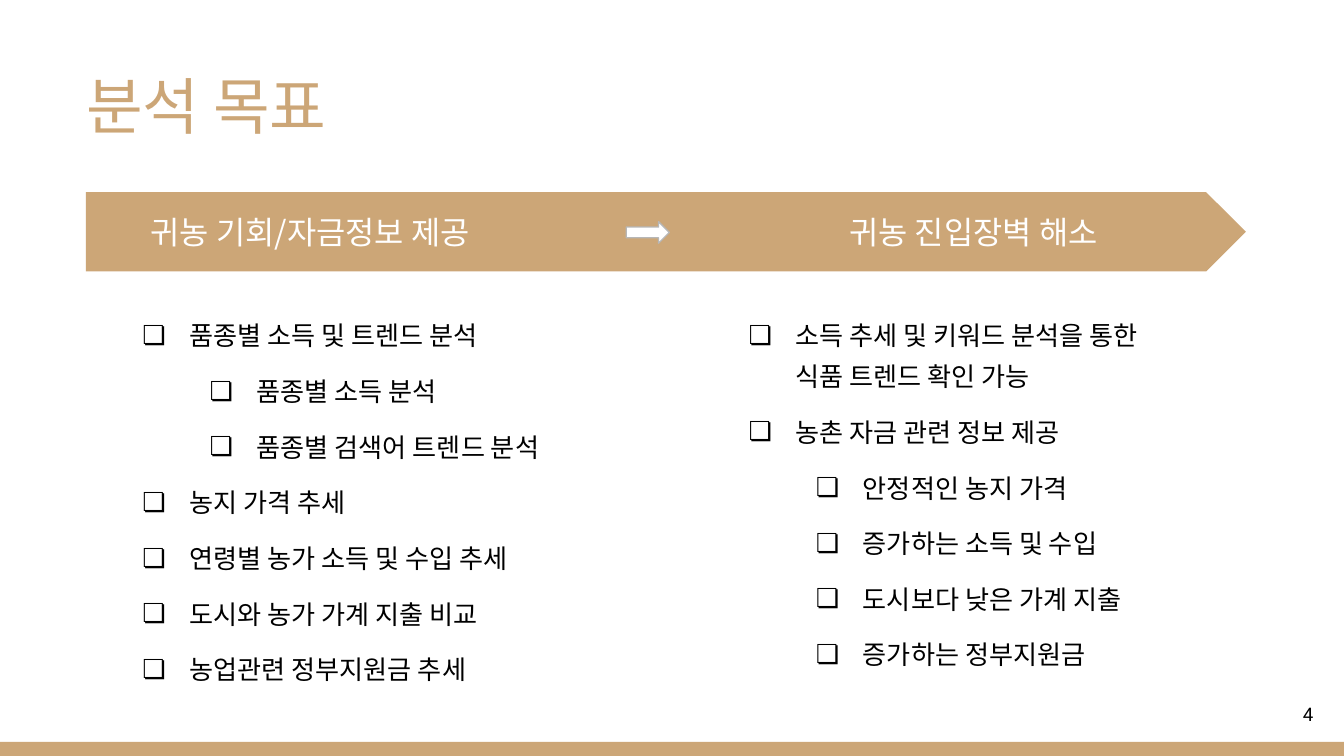
from lxml import etree
from pptx import Presentation
from pptx.dml.color import RGBColor
from pptx.enum import shapes, text
from pptx.oxml import ns
from pptx.util import Inches, Pt

TAN = RGBColor(0xCC, 0xA6, 0x77)
WHITE = RGBColor(0xFF, 0xFF, 0xFF)
BLACK = RGBColor(0, 0, 0)
GRAY = RGBColor(0xB7, 0xB7, 0xB7)
KOREAN = "Noto Sans CJK KR"

TITLE = "분석 목표"
BANNER = ("귀농 기회/자금정보 제공", "귀농 진입장벽 해소")
PAGE_NUMBER = "4"
COLUMNS = [
    ((0.81, 2.21, 4.13, 3.1), [
        (0, "품종별 소득 및 트렌드 분석"),
        (1, "품종별 소득 분석"),
        (1, "품종별 검색어 트렌드 분석"),
        (0, "농지 가격 추세"),
        (0, "연령별 농가 소득 및 수입 추세"),
        (0, "도시와 농가 가계 지출 비교"),
        (0, "농업관련 정부지원금 추세"),
    ]),
    ((5.32, 2.21, 3.55, 3.1), [
        (0, "소득 추세 및 키워드 분석을 통한 식품 트렌드 확인 가능"),
        (0, "농촌 자금 관련 정보 제공"),
        (1, "안정적인 농지 가격"),
        (1, "증가하는 소득 및 수입"),
        (1, "도시보다 낮은 가계 지출"),
        (1, "증가하는 정부지원금"),
    ]),
]


def add_child(parent, tag, **attributes):
    child = etree.SubElement(parent, ns.qn(tag))
    for name, value in attributes.items():
        child.set(name, str(value))
    return child


def place(box, area):
    box.left, box.top, box.width, box.height = map(Inches, area)


def set_frame(box, anchor):
    frame = box.text_frame
    frame.word_wrap = True
    frame.auto_size = text.MSO_AUTO_SIZE.NONE
    frame.vertical_anchor = anchor
    frame.margin_left = frame.margin_right = Inches(0.1)
    frame.margin_top = frame.margin_bottom = Inches(0.1)
    return frame


def style(para, size, color, font=KOREAN, align=text.PP_ALIGN.LEFT):
    para.alignment = align
    for span in para.runs:
        span.font.size = Pt(size)
        span.font.color.rgb = color
        span.font.name = font
        span.font._element.set("kern", "0")
        add_child(span.font._element, "a:ea", typeface=font)


def add_filled(page, kind, area, color):
    shape = page.shapes.add_shape(kind, *map(Inches, area))
    shape.shadow.inherit = False
    shape.fill.solid()
    shape.fill.fore_color.rgb = color
    shape.line.fill.background()
    return shape


def add_line(page, area, words, size, color, **options):
    box = page.shapes.add_textbox(*map(Inches, area))
    frame = set_frame(box, text.MSO_ANCHOR.MIDDLE)
    frame.text = words
    style(frame.paragraphs[0], size, color, **options)
    return frame


def fill_list(box, items):
    frame = set_frame(box, text.MSO_ANCHOR.TOP)
    for index, (level, words) in enumerate(items):
        para = frame.paragraphs[0] if index == 0 else frame.add_paragraph()
        para.text = words
        para.level = level
        para.line_spacing = 1.3
        para.space_before = Pt(8 if index else 0)
        para.space_after = Pt(8 if index == len(items) - 1 else 0)
        style(para, 14, BLACK)
        props = para._p.get_or_add_pPr()
        props.set("marL", str(Inches(0.5 * (level + 1))))
        props.set("indent", str(Inches(-0.35)))
        add_child(add_child(props, "a:buClr"), "a:srgbClr", val=BLACK)
        add_child(props, "a:buChar", char="❏")


def main():
    deck = Presentation()
    deck.slide_width = Inches(10)
    deck.slide_height = deck.slide_width * 9 // 16
    page = deck.slides.add_slide(deck.slide_layouts[3])
    title, *bodies = page.placeholders

    add_filled(page, shapes.MSO_SHAPE.RECTANGLE, (0, 5.52, 10, 0.11), TAN)

    place(title, (0.54, 0.33, 4.13, 0.9))
    frame = set_frame(title, text.MSO_ANCHOR.MIDDLE)
    frame.text = TITLE
    style(frame.paragraphs[0], 33, TAN)

    add_filled(page, shapes.MSO_SHAPE.PENTAGON, (0.64, 1.43, 8.63, 0.59), TAN)
    banner = add_line(page, (0.89, 1.44, 8.11, 0.57), "\t".join(BANNER), 17, WHITE)
    banner.margin_left = Inches(0.23)
    tabs = add_child(banner.paragraphs[0]._p.get_or_add_pPr(), "a:tabLst")
    add_child(tabs, "a:tab", pos=Inches(5.2), algn="l")

    arrow = add_filled(page, shapes.MSO_SHAPE.RIGHT_ARROW, (4.66, 1.65, 0.32, 0.16), WHITE)
    arrow.line.color.rgb = GRAY
    arrow.line.width = Pt(0.75)

    for body, (area, items) in zip(bodies, COLUMNS):
        place(body, area)
        fill_list(body, items)

    add_line(page, (9.27, 5.1, 0.6, 0.43), PAGE_NUMBER, 10, BLACK,
             font="Roboto", align=text.PP_ALIGN.RIGHT)
    deck.save("out.pptx")


if __name__ == "__main__":
    main()
